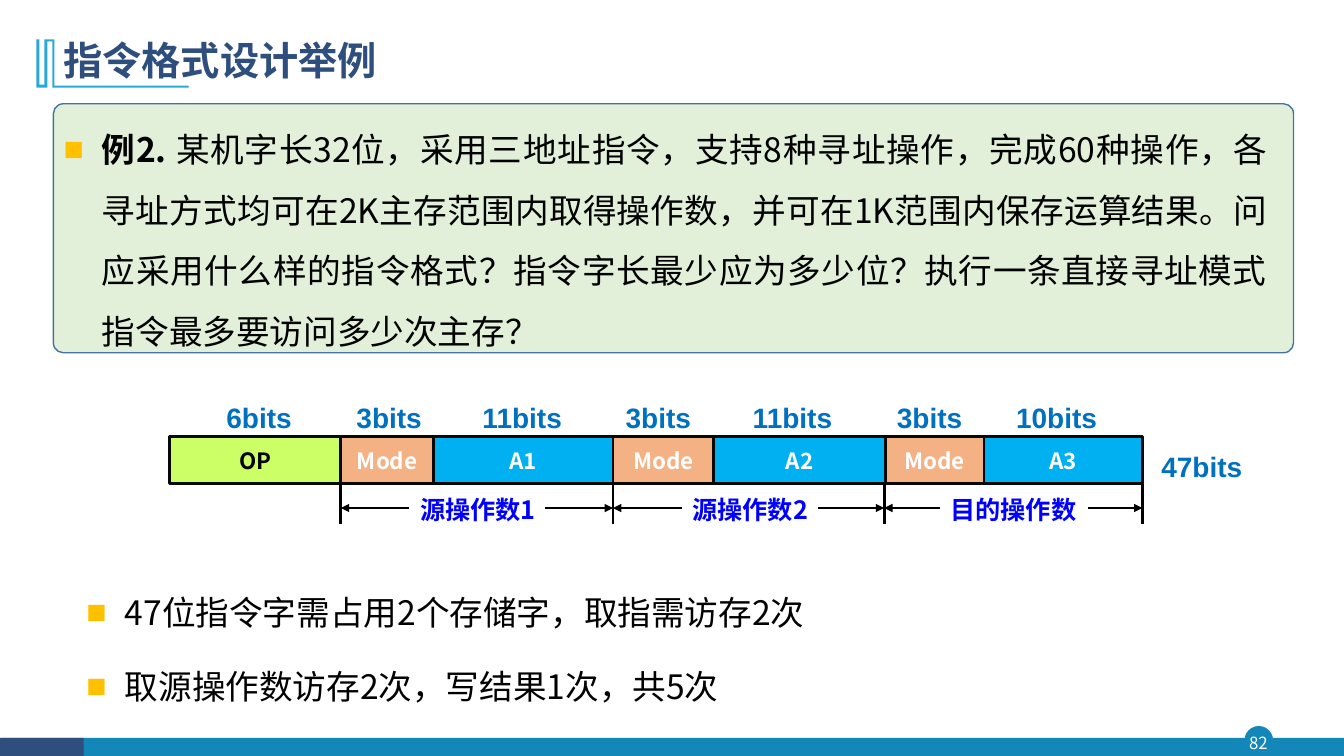
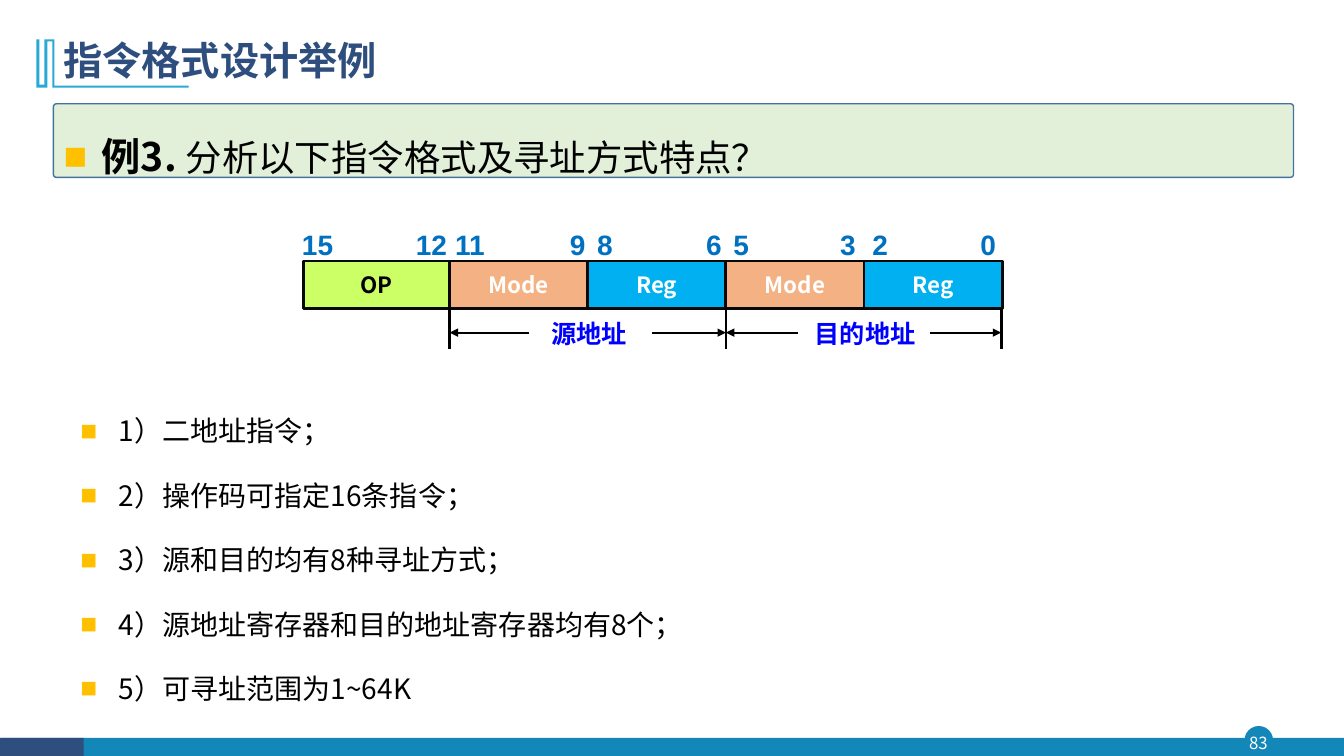
"""Build two slides on instruction format design, each with a bit-field diagram."""
from dataclasses import dataclass
from typing import NamedTuple

from lxml.etree import SubElement
from pptx import Presentation
from pptx.dml.color import RGBColor
from pptx.enum.shapes import MSO_CONNECTOR, MSO_SHAPE
from pptx.enum.text import MSO_ANCHOR, MSO_AUTO_SIZE, PP_ALIGN
from pptx.oxml.ns import qn
from pptx.util import Inches, Pt


@dataclass(frozen=True)
class Theme:
    cjk: str = "Noto Sans CJK SC"
    latin: str = "Arial"
    navy: str = "2E4E7E"
    teal: str = "1387B7"
    sky: str = "28A9D6"
    panel: str = "E2F0D9"
    panel_edge: str = "43739E"
    bullet: str = "FFC000"
    opcode: str = "CCFF66"
    mode: str = "F4B183"
    address: str = "00B0F0"
    cell_edge: str = "080808"
    bits: str = "0070C0"
    operand: str = "0000FF"
    black: str = "000000"
    white: str = "FFFFFF"
    title_size: int = 28
    bits_size: int = 20
    operand_size: int = 18
    cell_size: int = 16
    number_size: int = 12


THEME = Theme()


class Style(NamedTuple):
    size: float
    color: str = THEME.black
    bold: bool = False
    font: str = THEME.cjk
    align: PP_ALIGN = PP_ALIGN.CENTER


class Area(NamedTuple):
    left: float
    top: float
    width: float
    height: float


class Field(NamedTuple):
    name: str
    width: float
    fill: str
    color: str = THEME.white


class Label(NamedTuple):
    text: str
    center: float


class Operand(NamedTuple):
    text: str
    center: float
    left: float
    left_stem: float
    right_stem: float
    right: float


@dataclass(frozen=True)
class Diagram:
    left: float
    top: float
    label_top: float
    fields: list[Field]
    labels: list[Label]
    operands: list[Operand]


@dataclass(frozen=True)
class Lesson:
    number: int
    lead: str
    lead_size: int
    question: str
    question_size: int
    panel_height: float
    body: Area
    diagram: Diagram
    answers: list[str]
    answer_size: int
    answer_area: Area


TITLE_AREA = Area(0.53, 0.28, 11.5, 0.68)
CELL_HEIGHT = 0.47
TICK_LENGTH = 0.4
ARROW_DROP = 0.24
ORNAMENT = [(54, 39), (54, 85), (187, 85), (187, 87), (52, 87), (52, 41), (47, 41),
            (47, 87), (36, 87), (36, 39), (39, 39), (39, 84), (44, 84), (44, 39)]
TITLE_STYLE = Style(THEME.title_size, THEME.navy, True, align=PP_ALIGN.LEFT)
NUMBER_STYLE = Style(THEME.number_size, THEME.white)
BITS_STYLE = Style(THEME.bits_size, THEME.bits, True, THEME.latin)
OPERAND_STYLE = Style(THEME.operand_size, THEME.operand, True)


def opcode(width: float) -> Field:
    return Field("OP", width, THEME.opcode, THEME.black)


def mode(width: float) -> Field:
    return Field("Mode", width, THEME.mode)


def address(name: str, width: float) -> Field:
    return Field(name, width, THEME.address)


def rgb(color: str) -> RGBColor:
    return RGBColor.from_string(color)


def place(shape, area: Area) -> None:
    shape.left, shape.top, shape.width, shape.height = map(Inches, area)


def apply_style(para, style: Style) -> None:
    para.alignment = style.align
    font = para.font
    font.size, font.bold, font.name = Pt(style.size), style.bold, style.font
    font.color.rgb = rgb(style.color)
    SubElement(font._element, qn("a:ea"), typeface=style.font)


def paint(shape, fill: str, edge: str | None = None, weight: float = 1) -> None:
    shape.shadow.inherit = False
    shape.fill.solid()
    shape.fill.fore_color.rgb = rgb(fill)
    if edge is None:
        shape.line.fill.background()
    else:
        shape.line.color.rgb = rgb(edge)
        shape.line.width = Pt(weight)


def add_block(page, kind: MSO_SHAPE, area: Area, fill: str,
              edge: str | None = None, weight: float = 1):
    block = page.shapes.add_shape(kind, *map(Inches, area))
    paint(block, fill, edge, weight)
    return block


def add_text(page, area: Area, text: str, style: Style):
    box = page.shapes.add_textbox(*map(Inches, area))
    box.text_frame.word_wrap = True
    para = box.text_frame.paragraphs[0]
    para.text = text
    apply_style(para, style)
    return box


def add_line(page, start: tuple[float, float], end: tuple[float, float],
             weight: float, arrow: bool = False) -> None:
    line = page.shapes.add_connector(MSO_CONNECTOR.STRAIGHT, *map(Inches, (*start, *end)))
    line.line.color.rgb = rgb(THEME.black)
    line.line.width = Pt(weight)
    if arrow:
        SubElement(line.line._get_or_add_ln(), qn("a:tailEnd"), type="triangle")
    SubElement(line._element.spPr, qn("a:effectLst"))


def format_bullet(para, size: float) -> None:
    props = para._p.get_or_add_pPr()
    props.set("marL", str(Inches(0.38)))
    props.set("indent", str(Inches(-0.38)))
    SubElement(SubElement(props, qn("a:buClr")), qn("a:srgbClr"), val=THEME.bullet)
    SubElement(props, qn("a:buFont"), typeface=THEME.latin)
    SubElement(props, qn("a:buChar"), char="■")
    para.line_spacing = 1.5
    para.space_before = Pt(0)
    apply_style(para, Style(size, align=PP_ALIGN.JUSTIFY))


def add_frame(page, number: int) -> None:
    add_block(page, MSO_SHAPE.OVAL, Area(12.35, 7.21, 0.27, 0.27), THEME.teal, THEME.teal)
    add_block(page, MSO_SHAPE.RECTANGLE, Area(0.01, 7.32, 13.32, 0.19), THEME.teal)
    add_block(page, MSO_SHAPE.RECTANGLE, Area(0, 7.32, 0.83, 0.19), THEME.navy)
    box = add_text(page, Area(12.32, 7.21, 0.32, 0.31), str(number), NUMBER_STYLE)
    frame = box.text_frame
    frame.margin_left = frame.margin_right = frame.margin_top = frame.margin_bottom = 0
    frame.vertical_anchor = MSO_ANCHOR.MIDDLE
    builder = page.shapes.build_freeform(*ORNAMENT[0], scale=Inches(0.01))
    builder.add_line_segments(ORNAMENT[1:], close=True)
    paint(builder.convert_to_shape(), THEME.sky)


def fill_placeholders(page, lesson: Lesson) -> None:
    title, body = page.shapes.title, page.placeholders[1]
    for holder, area in ((title, TITLE_AREA), (body, lesson.body)):
        place(holder, area)
        holder.text_frame.auto_size = MSO_AUTO_SIZE.NONE
        holder.text_frame.word_wrap = True
        page.shapes.element.append(holder._element)
    title.text_frame.vertical_anchor = MSO_ANCHOR.MIDDLE
    heading = title.text_frame.paragraphs[0]
    heading.text = "指令格式设计举例"
    heading.line_spacing = 0.9
    apply_style(heading, TITLE_STYLE)
    para = body.text_frame.paragraphs[0]
    format_bullet(para, lesson.question_size)
    lead = para.add_run()
    lead.text = lesson.lead
    lead.font.size, lead.font.bold = Pt(lesson.lead_size), True
    para.add_run().text = lesson.question


def add_answers(page, lesson: Lesson) -> None:
    box = page.shapes.add_textbox(*map(Inches, lesson.answer_area))
    frame = box.text_frame
    frame.word_wrap = True
    for index, answer in enumerate(lesson.answers):
        para = frame.add_paragraph() if index else frame.paragraphs[0]
        para.text = answer
        format_bullet(para, lesson.answer_size)
        if index:
            para.space_before = Pt(10)


def add_bits(page, label: Label, top: float) -> None:
    add_text(page, Area(label.center - 0.62, top, 1.24, 0.44), label.text, BITS_STYLE)


def add_diagram(page, diagram: Diagram) -> None:
    left = diagram.left
    for field in diagram.fields:
        cell = add_block(page, MSO_SHAPE.RECTANGLE,
                         Area(left, diagram.top, field.width, CELL_HEIGHT),
                         field.fill, THEME.cell_edge, 2)
        cell.text_frame.vertical_anchor = MSO_ANCHOR.MIDDLE
        para = cell.text_frame.paragraphs[0]
        para.text = field.name
        apply_style(para, Style(THEME.cell_size, field.color, True))
        left += field.width
    for label in diagram.labels:
        add_bits(page, label, diagram.label_top)
    bottom = diagram.top + CELL_HEIGHT
    level = bottom + ARROW_DROP
    for edge in sorted({x for item in diagram.operands for x in (item.left, item.right)}):
        add_line(page, (edge, bottom), (edge, bottom + TICK_LENGTH), 2)
    for item in diagram.operands:
        add_text(page, Area(item.center - 0.9, bottom + 0.05, 1.8, 0.4), item.text, OPERAND_STYLE)
        add_line(page, (item.left_stem, level), (item.left, level), 1.5, True)
        add_line(page, (item.right_stem, level), (item.right, level), 1.5, True)


def add_lesson(deck, lesson: Lesson):
    page = deck.slides.add_slide(deck.slide_layouts[1])
    add_frame(page, lesson.number)
    panel = add_block(page, MSO_SHAPE.ROUNDED_RECTANGLE,
                      Area(0.53, 1.03, 12.3, lesson.panel_height), THEME.panel, THEME.panel_edge)
    panel.adjustments[0] = 0.04
    fill_placeholders(page, lesson)
    add_diagram(page, lesson.diagram)
    add_answers(page, lesson)
    return page


THREE_ADDRESS = Diagram(
    1.68, 4.33, 3.92,
    [opcode(1.7), mode(0.92), address("A1", 1.78), mode(1), address("A2", 1.7),
     mode(0.98), address("A3", 1.57)],
    [Label("6bits", 2.57), Label("3bits", 3.86), Label("11bits", 5.18), Label("3bits", 6.53),
     Label("11bits", 7.86), Label("3bits", 9.22), Label("10bits", 10.48)],
    [Operand("源操作数1", 4.74, 3.38, 4.06, 5.41, 6.08),
     Operand("源操作数2", 7.44, 6.08, 6.76, 8.11, 8.77),
     Operand("目的操作数", 10.05, 8.77, 9.32, 10.79, 11.33)])
TWO_ADDRESS = Diagram(
    3.01, 2.59, 2.21,
    [opcode(1.45), *[mode(1.37), address("Reg", 1.37)] * 2],
    [Label("15", 3.15), Label("12", 4.28), Label("11", 4.66), Label("9", 5.73), Label("8", 6),
     Label("6", 7.08), Label("5", 7.35), Label("3", 8.41), Label("2", 8.73), Label("0", 9.8)],
    [Operand("源地址", 5.84, 4.46, 5.25, 6.47, 7.2),
     Operand("目的地址", 8.58, 7.2, 7.91, 9.22, 9.93)])
EXAMPLE_TWO = Lesson(
    82, "例2. ", 24,
    "某机字长32位，采用三地址指令，支持8种寻址操作，完成60种操作，各寻址方式均可在2K主存范围内取得操作数，"
    "并可在1K范围内保存运算结果。问应采用什么样的指令格式？指令字长最少应为多少位？"
    "执行一条直接寻址模式指令最多要访问多少次主存？",
    24, 2.47, Area(0.53, 1.03, 12.14, 3.11), THREE_ADDRESS,
    ["47位指令字需占用2个存储字，取指需访存2次", "取源操作数访存2次，写结果1次，共5次"],
    24, Area(0.76, 5.62, 12.14, 1.41))
EXAMPLE_THREE = Lesson(
    83, "例3. ", 28, "分析以下指令格式及寻址方式特点？", 26, 0.73,
    Area(0.53, 1.03, 11.5, 0.87), TWO_ADDRESS,
    ["1）二地址指令；", "2）操作码可指定16条指令；", "3）源和目的均有8种寻址方式；",
     "4）源地址寄存器和目的地址寄存器均有8个；", "5）可寻址范围为1~64K"],
    20, Area(0.7, 3.89, 12.14, 3.38))


def main() -> None:
    deck = Presentation()
    deck.slide_width, deck.slide_height = Inches(13.33), Inches(7.5)
    page = add_lesson(deck, EXAMPLE_TWO)
    add_bits(page, Label("47bits", 11.92), 4.41)
    add_lesson(deck, EXAMPLE_THREE)
    deck.save("out.pptx")


if __name__ == "__main__":
    main()
